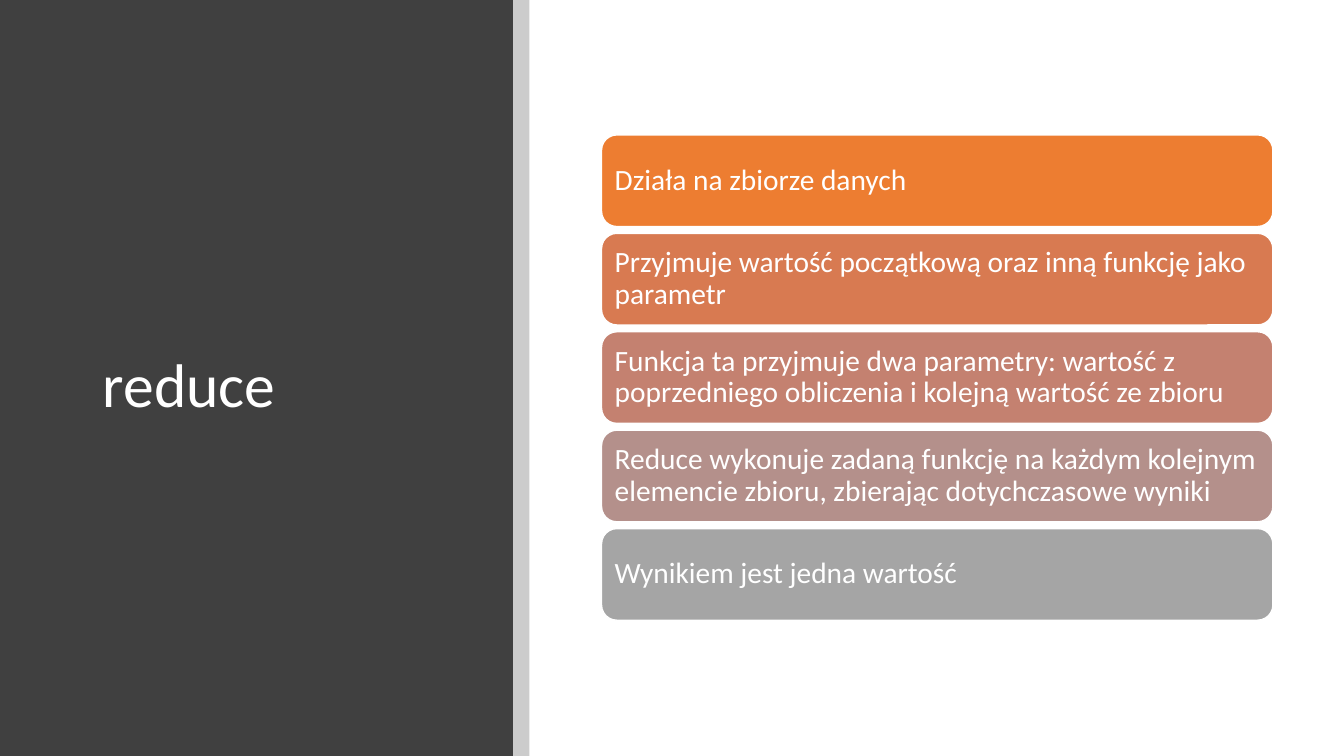
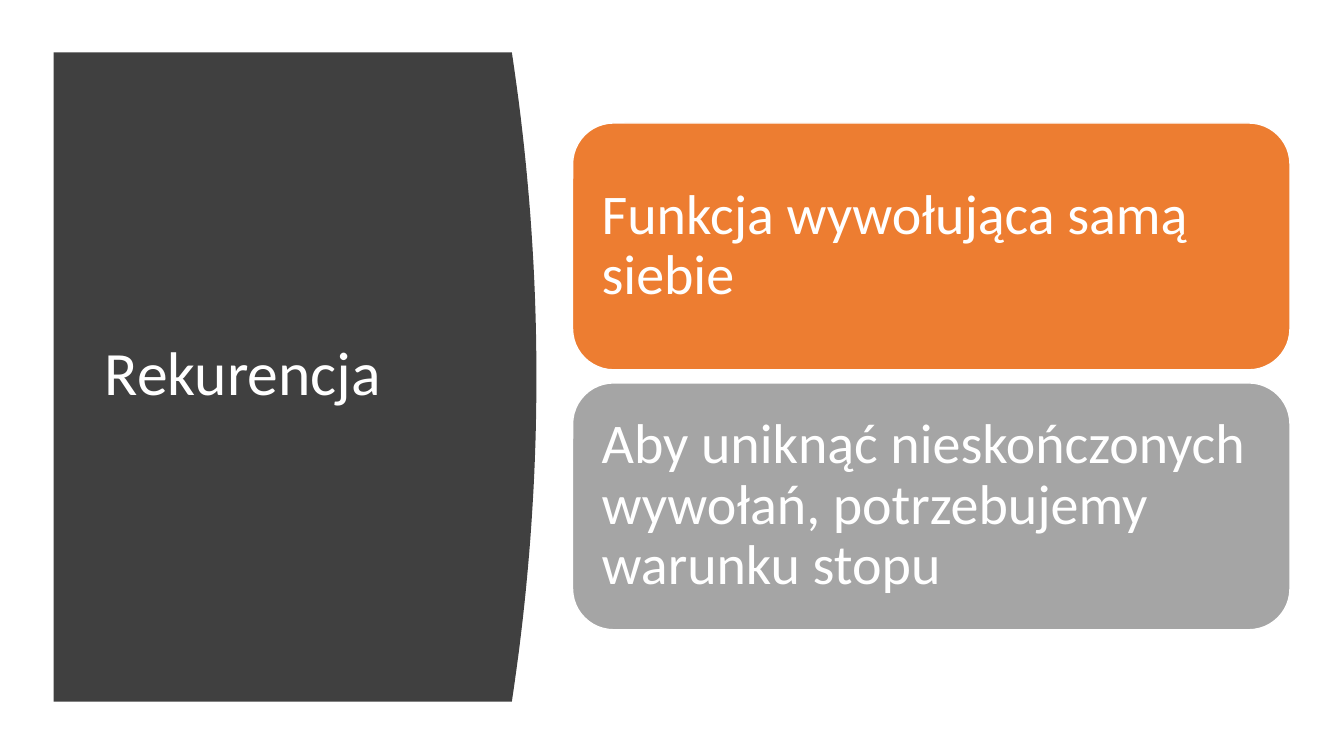
from lxml.etree import SubElement
from pptx import Presentation
from pptx.dml.color import RGBColor
from pptx.enum.shapes import MSO_SHAPE
from pptx.enum.text import MSO_ANCHOR, PP_ALIGN
from pptx.oxml.ns import qn
from pptx.util import Cm, Pt

SLIDE_WIDTH, SLIDE_HEIGHT = 33.87, 19.05
PANEL, WHITE, BLACK = "404040", "FFFFFF", "000000"
FONT = {"name": "Calibri", "bold": False}
TITLE_SIZE = 44

# Boxes are (left, top, width, height) in centimetres.
REDUCE = {
    "title": "reduce",
    "title_box": (2.34, 2.26, 9.27, 15.01),
    "first_card": (15.16, 3.4, 16.92, 2.31),
    "gap": 0.17,
    "inset": 0.22,
    "size": 21,
    "cards": [
        ("Działa na zbiorze danych", "ED7D31"),
        ("Przyjmuje wartość początkową oraz inną funkcję jako parametr", "D87A51"),
        ("Funkcja ta przyjmuje dwa parametry: wartość z poprzedniego obliczenia "
         "i kolejną wartość ze zbioru", "C48170"),
        ("Reduce wykonuje zadaną funkcję na każdym kolejnym elemencie zbioru, "
         "zbierając dotychczasowe wyniki", "B4908B"),
        ("Wynikiem jest jedna wartość", "A5A5A5"),
    ],
}
RECURSION = {
    "title": "Rekurencja",
    "title_box": (2.39, 2.82, 9.5, 13.31),
    "first_card": (14.43, 3.1, 18.08, 6.22),
    "gap": 0.33,
    "inset": 0.43,
    "size": 40,
    "cards": [
        ("Funkcja wywołująca samą siebie", "ED7D31"),
        ("Aby uniknąć nieskończonych wywołań, potrzebujemy warunku stopu", "A5A5A5"),
    ],
}


def color(value):
    return RGBColor.from_string(value)


def paint(shape, fill, line=None):
    shape.shadow.inherit = False
    shape.fill.solid()
    shape.fill.fore_color.rgb = color(fill)
    if line:
        shape.line.color.rgb = color(line)
        shape.line.width = Pt(1)
    else:
        shape.line.fill.background()


def add_box(slide, kind, box, fill, line=None):
    shape = slide.shapes.add_shape(kind, *map(Cm, box))
    paint(shape, fill, line)
    return shape


def write(shape, text, size, inset_x, inset_y):
    frame = shape.text_frame
    settings = {
        "word_wrap": True, "vertical_anchor": MSO_ANCHOR.MIDDLE,
        "margin_left": Cm(inset_x), "margin_right": Cm(inset_x),
        "margin_top": Cm(inset_y), "margin_bottom": Cm(inset_y),
    }
    for name, value in settings.items():
        setattr(frame, name, value)
    paragraph = frame.paragraphs[0]
    paragraph.text = text
    paragraph.alignment = PP_ALIGN.LEFT
    paragraph.line_spacing = 0.9
    for name, value in {**FONT, "size": Pt(size)}.items():
        setattr(paragraph.font, name, value)
    paragraph.font.color.rgb = color(WHITE)


def add_straight_panel(slide):
    """Draw a full-height panel with a translucent strip along its right edge."""
    width, strip_width = 12.93, 0.41
    add_box(slide, MSO_SHAPE.RECTANGLE, (0, 0, width, SLIDE_HEIGHT), PANEL)
    strip = add_box(slide, MSO_SHAPE.RECTANGLE,
                    (width, 0, strip_width, SLIDE_HEIGHT), BLACK)
    strip_color = strip.fill._xPr.find(".//" + qn("a:srgbClr"))
    SubElement(strip_color, qn("a:alpha"), val="20000")


def add_curved_panel(slide):
    """Draw a panel whose right edge bulges outwards as a parabola."""
    left, top, right, bottom = 1.35, 1.32, 12.9, 17.68
    bulge, steps = 0.62, 40
    edge = []
    for step in range(steps + 1):
        share = step / steps
        edge.append((Cm(right + bulge * 4 * share * (1 - share)),
                     Cm(top + (bottom - top) * share)))
    builder = slide.shapes.build_freeform(Cm(left), Cm(top), scale=1.0)
    builder.add_line_segments(edge + [(Cm(left), Cm(bottom))], close=True)
    paint(builder.convert_to_shape(), PANEL)


def add_content(slide, content):
    title = slide.shapes.add_textbox(*map(Cm, content["title_box"]))
    write(title, content["title"], TITLE_SIZE, 0.25, 0.13)
    left, top, width, height = content["first_card"]
    for row, (text, fill) in enumerate(content["cards"]):
        box = (left, top + row * (height + content["gap"]), width, height)
        card = add_box(slide, MSO_SHAPE.ROUNDED_RECTANGLE, box, fill, WHITE)
        write(card, text, content["size"], content["inset"], content["inset"])


def main():
    presentation = Presentation()
    presentation.slide_width = Cm(SLIDE_WIDTH)
    presentation.slide_height = Cm(SLIDE_HEIGHT)
    for add_panel, content in ((add_straight_panel, REDUCE),
                               (add_curved_panel, RECURSION)):
        slide = presentation.slides.add_slide(presentation.slide_layouts[6])
        add_panel(slide)
        add_content(slide, content)
    presentation.save("out.pptx")


if __name__ == "__main__":
    main()
